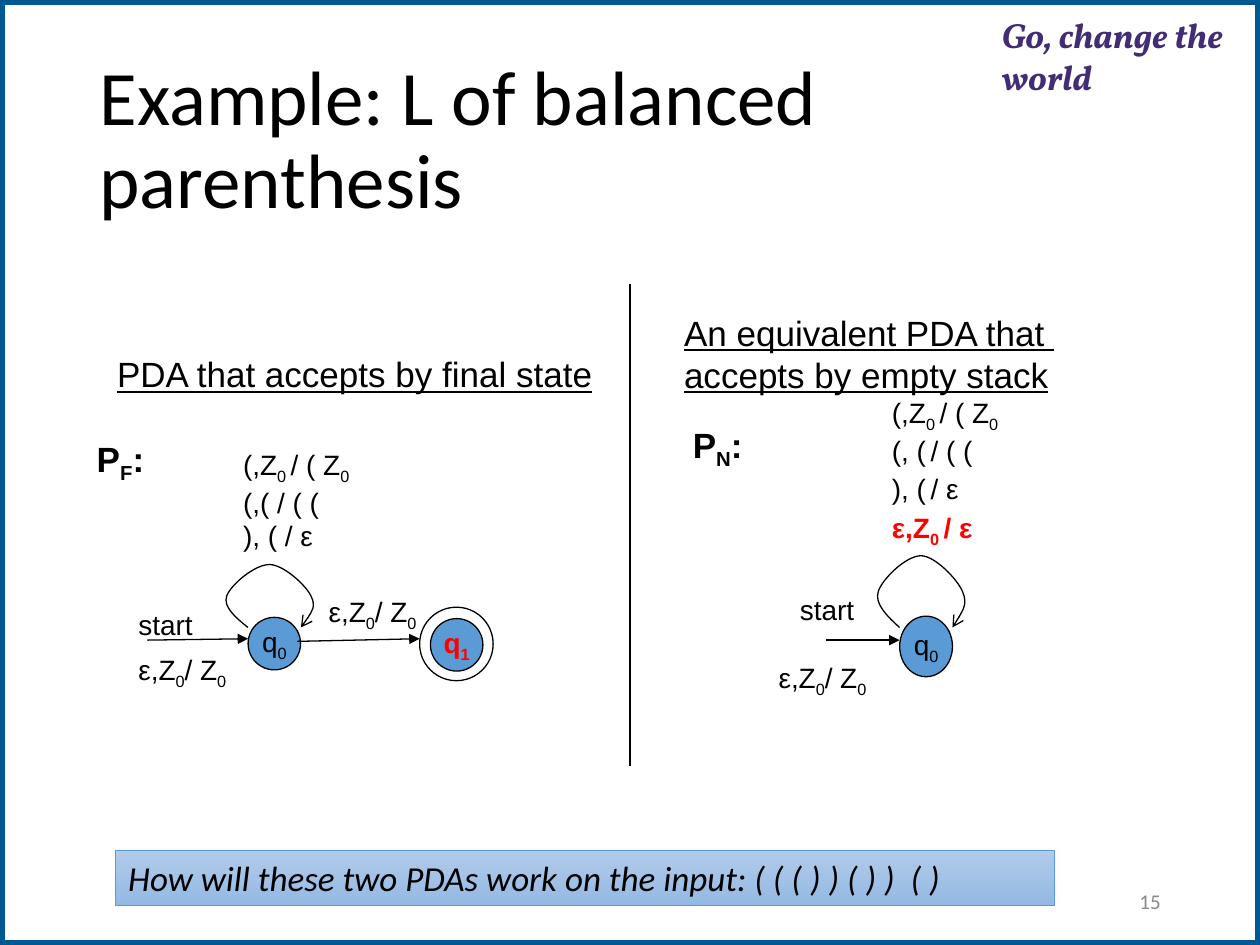
from lxml.etree import SubElement
from pptx import Presentation
from pptx.dml.color import RGBColor
from pptx.enum.shapes import MSO_CONNECTOR as Connector, MSO_SHAPE as Shape
from pptx.enum.text import MSO_ANCHOR as Anchor, MSO_AUTO_SIZE as AutoSize, PP_ALIGN as Align
from pptx.oxml.ns import qn
from pptx.util import Pt

COLORS = {
    "white": "FFFFFF", "black": "000000", "red": "FF0000", "gray": "898989",
    "frame": "005893", "slogan": "422C75", "state": "5B9BD5",
    "light": "B1CBE9", "deep": "93B9E4",
}
LOOP_CURVE = [
    (-7.2, 0.16), (-14.4, 0.33), (-12.2, 0.5), (-10.1, 0.67), (3.6, 1), (12.2, 1),
    (20.2, 1), (33.1, 0.67), (36, 0.5), (38.9, 0.33), (34.6, 0.16), (30.2, 0),
]
START_LABEL = "ε,Z|0|/ Z|0"
PUSH_FIRST = "(,Z|0 |/ ( Z|0"


def color(name):
    return RGBColor.from_string(COLORS[name])


def write(paragraph, text, size=16, font="Arial", ink="black", bold=False,
          italic=False, underline=False, align=Align.LEFT):
    paragraph.alignment = align
    for row, line in enumerate(text.split("\n")):
        if row:
            paragraph.add_line_break()
        for index, piece in enumerate(line.split("|")):
            run = paragraph.add_run()
            run.text = piece
            run.font.size = Pt(size)
            run.font.name = font
            run.font.bold = bold
            run.font.italic = italic
            run.font.underline = underline
            run.font.color.rgb = color(ink)
            is_subscript = index % 2
            if is_subscript:
                run.font._element.set("baseline", "-25000")


class SlideBuilder:
    line_width = 0.75

    def __init__(self, slide):
        self.slide = slide
        self.shapes = slide.shapes

    def outline(self, shape, ink="black", width=line_width, arrow=None):
        shape.line.color.rgb = color(ink)
        shape.line.width = Pt(width)
        if arrow:
            SubElement(shape.element.spPr.find(qn("a:ln")), qn("a:tailEnd"), type=arrow)

    def title(self, text, box):
        title = self.shapes.title
        title.left, title.top, title.width, title.height = map(Pt, box)
        frame = title.text_frame
        frame.auto_size = AutoSize.NONE
        frame.vertical_anchor = Anchor.MIDDLE
        frame.paragraphs[0].line_spacing = 0.9
        write(frame.paragraphs[0], text, size=44, font="Calibri")

    def text(self, lines, box, wrap=False, anchor=Anchor.TOP, margins=(7.2, 3.6), **style):
        shape = self.shapes.add_textbox(*map(Pt, box))
        frame = shape.text_frame
        frame.word_wrap = wrap
        frame.vertical_anchor = anchor
        frame.margin_left = frame.margin_right = Pt(margins[0])
        frame.margin_top = frame.margin_bottom = Pt(margins[1])
        for index, line in enumerate(lines):
            paragraph = frame.add_paragraph() if index else frame.paragraphs[0]
            write(paragraph, line, **style)
        return shape

    def shape(self, kind, box, fill=None, ink="black", width=line_width):
        shape = self.shapes.add_shape(kind, *map(Pt, box))
        shape.shadow.inherit = False
        if fill:
            shape.fill.solid()
            shape.fill.fore_color.rgb = color(fill)
        else:
            shape.fill.background()
        self.outline(shape, ink, width)
        return shape

    def page_frame(self, box):
        shape = self.shape(Shape.RECTANGLE, box, "white", "frame", 6)
        shape.element.getparent().insert(2, shape.element)

    def state(self, label, box, **style):
        shape = self.shape(Shape.OVAL, box, "state")
        frame = shape.text_frame
        frame.word_wrap = False
        frame.vertical_anchor = Anchor.MIDDLE
        write(frame.paragraphs[0], label, align=Align.CENTER, **style)

    def line(self, start, end, arrow=None):
        connector = self.shapes.add_connector(Connector.STRAIGHT, *map(Pt, start + end))
        self.outline(connector, arrow=arrow)
        SubElement(connector.element.spPr, qn("a:effectLst"))

    def loop(self, left, bottom, height):
        builder = self.shapes.build_freeform(Pt(left), Pt(bottom))
        points = [(Pt(left + x), Pt(bottom - y * height)) for x, y in LOOP_CURVE]
        builder.add_line_segments(points, close=False)
        shape = builder.convert_to_shape()
        shape.shadow.inherit = False
        shape.fill.background()
        self.outline(shape, arrow="arrow")
        outline = shape.element.find(".//" + qn("a:path"))
        segments = outline.findall(qn("a:lnTo"))
        for first in range(0, len(segments), 3):
            curve = SubElement(outline, qn("a:cubicBezTo"))
            for segment in segments[first:first + 3]:
                curve.append(segment[0])
                outline.remove(segment)

    def banner(self, text, box):
        shape = self.shape(Shape.RECTANGLE, box, "light", "state", 0.5)
        shape.fill.gradient()
        shape.fill.gradient_angle = 270
        for stop, name in zip(shape.fill.gradient_stops, ("light", "deep")):
            stop.color.rgb = color(name)
        frame = shape.text_frame
        frame.word_wrap = False
        frame.vertical_anchor = Anchor.TOP
        write(frame.paragraphs[0], text, size=20, font="Calibri", italic=True)


def draw_final_state_automaton(builder):
    builder.text(["PDA that accepts by final state"], (59.8, 198, 288, 31.7),
                 size=20, underline=True)
    builder.text(["P|F|:"], (48.2, 246.2, 43.2, 31.7), size=20, bold=True)
    builder.text([PUSH_FIRST, "(,( / ( (", "), ( / ε"], (131.8, 252, 78.5, 65.5))
    builder.loop(141.8, 358.6, 36)
    builder.state("q|0", (141.8, 352.8, 30, 30))
    builder.line((84.2, 365.8), (141.8, 365), "triangle")
    builder.line((170, 366.5), (239.8, 365), "triangle")
    builder.shape(Shape.OVAL, (239.8, 347, 42, 42))
    builder.state("q|1", (246, 353.5, 30, 30), ink="red", bold=True)
    builder.text(["start"], (72, 343.4, 46, 26.6))
    builder.text([START_LABEL], (180.7, 336.2, 71.3, 26.6))
    builder.text([START_LABEL], (72, 369.4, 71.3, 26.6))


def draw_empty_stack_automaton(builder):
    builder.text(["An equivalent PDA that \naccepts by empty stack"],
                 (383.8, 174.2, 227.5, 64), size=20, underline=True)
    builder.text(["P|N|:"], (388.8, 238.3, 44.6, 31.7), size=20, bold=True)
    rules = builder.text([PUSH_FIRST, "(, (| |/ ( (", "), (| |/ ε"],
                         (502.6, 222.5, 78.5, 97.2))
    write(rules.text_frame.add_paragraph(), "ε,Z|0 |/ ε", ink="red", bold=True)
    builder.loop(514.1, 358.6, 41)
    builder.state("q|0", (514.1, 352.1, 30.2, 34.6))
    builder.line((472.3, 365.8), (514.1, 365.8), "triangle")
    builder.text(["start"], (450, 334.8, 46, 31))
    builder.text([START_LABEL], (437.8, 373.7, 71.3, 31))


def main():
    presentation = Presentation()
    presentation.slide_width, presentation.slide_height = Pt(720), Pt(540)
    builder = SlideBuilder(presentation.slides.add_slide(presentation.slide_layouts[5]))
    builder.page_frame((0, 0, 720, 540))
    builder.text(["Go, change the world"], (572.4, 7.2, 147.6, 44.6), wrap=True,
                 margins=(0, 0.7), size=20, font="Vollkorn", ink="slogan",
                 bold=True, italic=True)
    builder.title("Example: L of balanced parenthesis", (49.7, 28.8, 620.6, 104.4))
    builder.text(["15"], (508.3, 500.4, 162, 28.8), wrap=True, anchor=Anchor.MIDDLE,
                 size=12, font="Calibri", ink="gray", align=Align.RIGHT)
    draw_final_state_automaton(builder)
    builder.line((360, 162), (360, 437.8))
    draw_empty_stack_automaton(builder)
    builder.banner("How will these two PDAs work on the input: ( ( ( ) ) ( ) )  ( )",
                   (66.2, 486, 536.4, 31.7))
    presentation.save("out.pptx")


if __name__ == "__main__":
    main()
